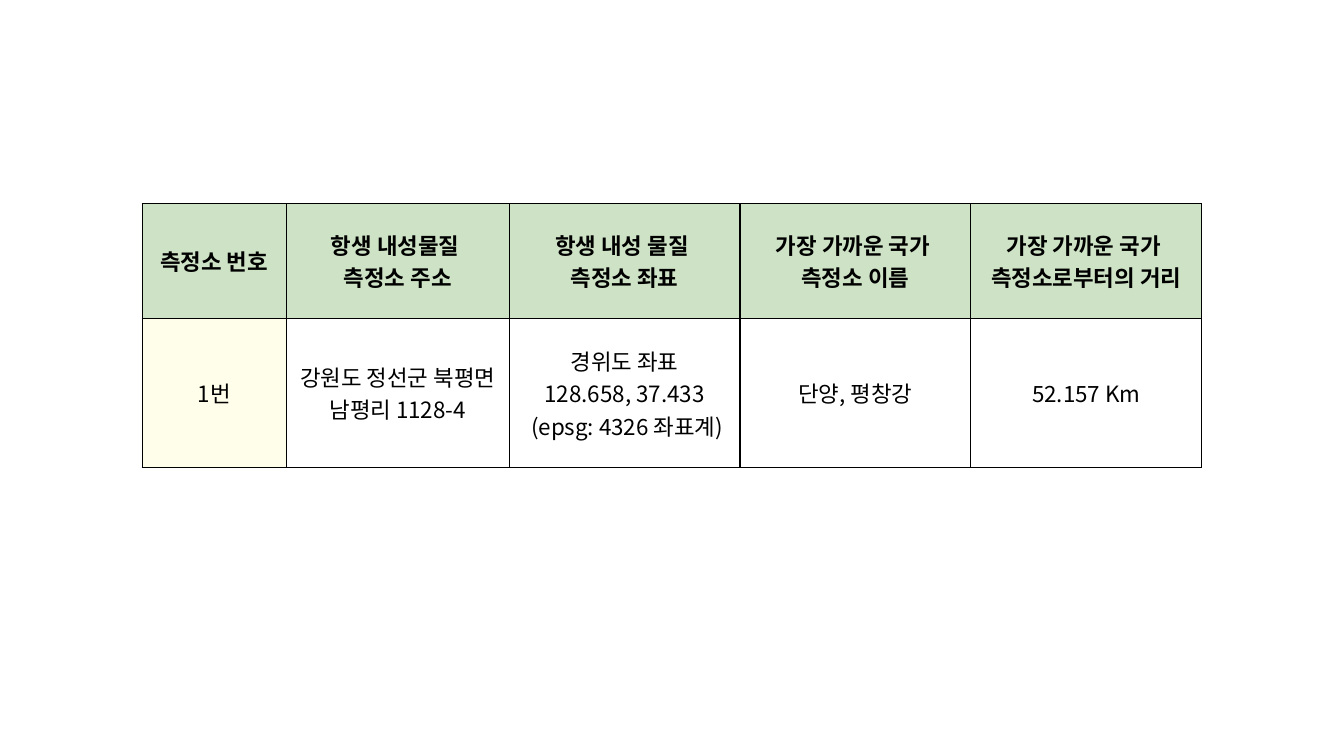
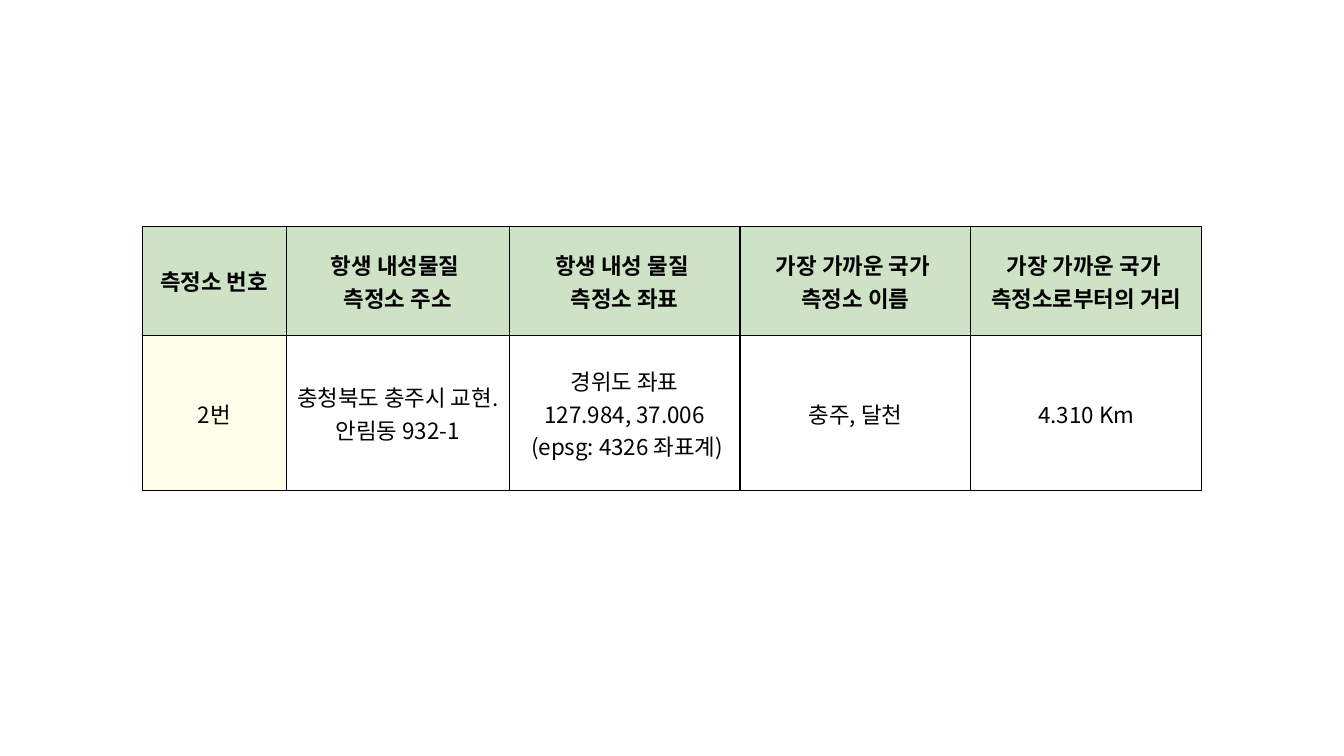
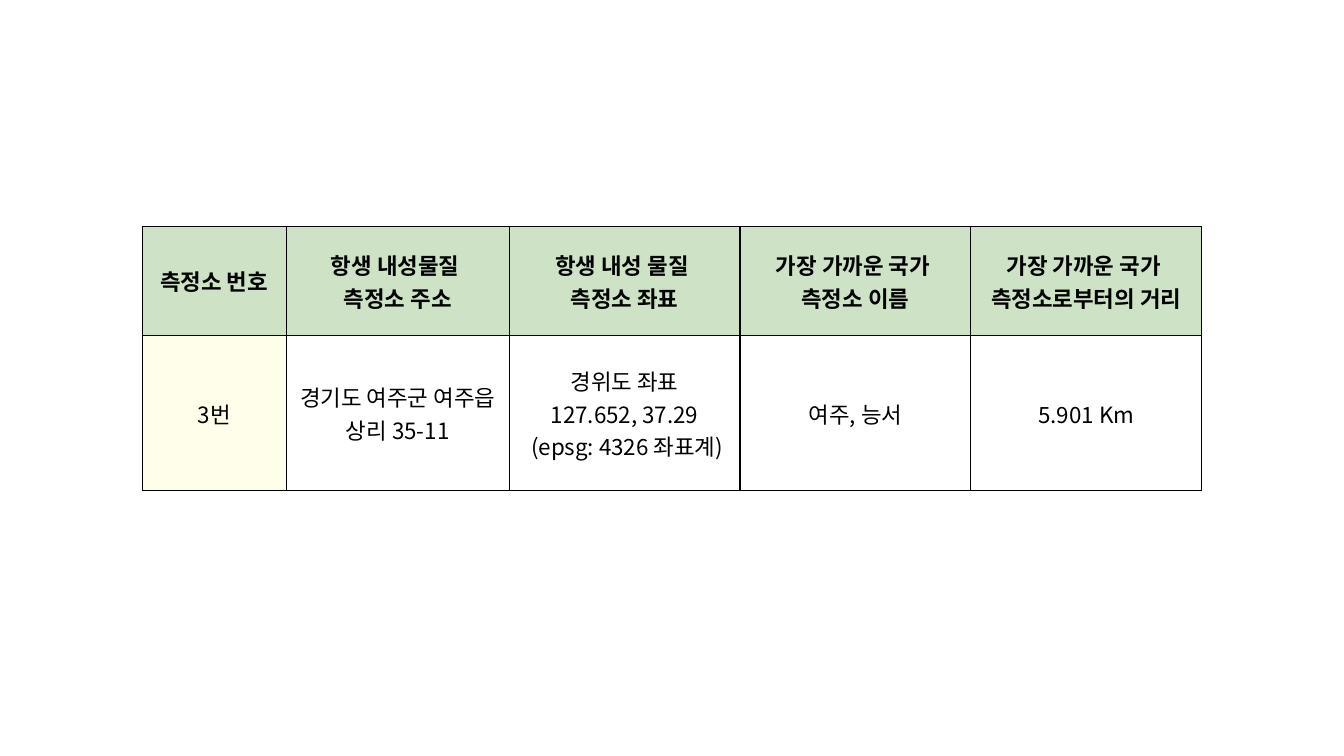
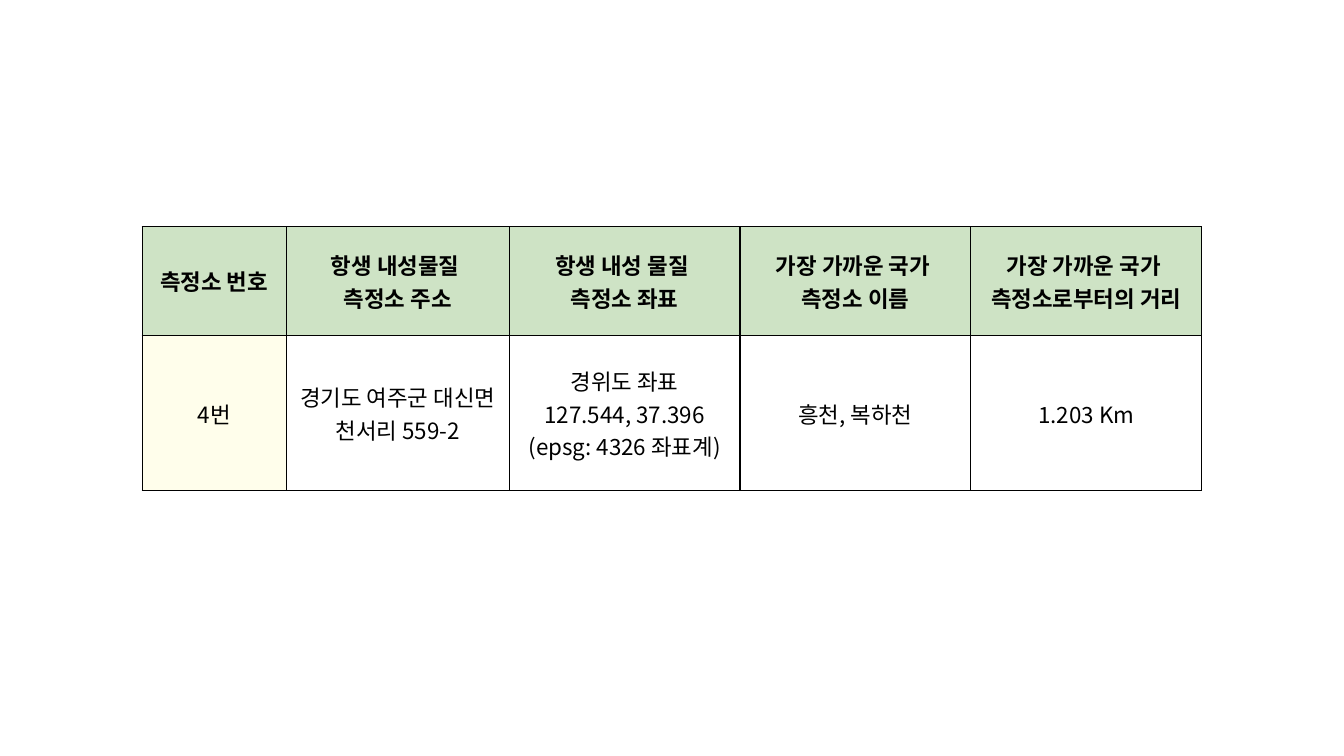
from copy import deepcopy

from lxml.etree import SubElement
from pptx import Presentation
from pptx.dml.color import RGBColor
from pptx.enum.text import MSO_ANCHOR, PP_ALIGN
from pptx.oxml import parse_xml
from pptx.oxml.ns import nsdecls, qn
from pptx.util import Inches, Pt

COLORS = {"header": "CEE3C5", "number": "FFFEEB", "ink": "000000"}
FONT = "Noto Sans CJK KR"
COLUMN_WIDTHS = [1.43, 2.21, 2.29, 2.29, 2.29]
HEADERS = [
    "측정소 번호",
    "항생 내성물질 \v측정소 주소",
    "항생 내성 물질 \v측정소 좌표",
    "가장 가까운 국가 \v측정소 이름",
    "가장 가까운 국가 \v측정소로부터의 거리",
]
EPSG = "(epsg: 4326 좌표계)"

# Table top, row heights, then the five values of the station
STATIONS = [
    (2.02, [1.14, 1.48], ["1번", "강원도 정선군 북평면 남평리 1128-4",
                          f"경위도 좌표\n128.658, 37.433\n {EPSG}", "단양, 평창강", "52.157 Km"]),
    (2.25, [1.08, 1.54], ["2번", "충청북도 충주시 교현.안림동 932-1",
                          f"경위도 좌표\n127.984, 37.006\n {EPSG}", "충주, 달천", "4.310 Km"]),
    (2.25, [1.08, 1.54], ["3번", "경기도 여주군 여주읍 상리 35-11",
                          f"경위도 좌표\n127.652, 37.29\n {EPSG}", "여주, 능서", "5.901 Km"]),
    (2.25, [1.08, 1.54], ["4번", "경기도 여주군 대신면 천서리 559-2",
                          f"경위도 좌표\n127.544, 37.396\n{EPSG}", "흥천, 복하천", "1.203 Km"]),
]


def style_text(paragraph, bold):
    """Centre a paragraph and format its runs and line breaks."""
    paragraph.alignment = PP_ALIGN.CENTER
    for span in paragraph.runs:
        span.font.size = Pt(16)
        span.font.bold = bold
        span.font.color.rgb = RGBColor.from_string(COLORS["ink"])
        span.font.name = FONT
        SubElement(span.font._element, qn("a:ea"), typeface=FONT)
    for line_break in paragraph._p.findall(qn("a:br")):
        line_break.append(deepcopy(paragraph.runs[0].font._element))


def fill_cell(cell, text, fill, bold):
    """Write one table cell with its borders, fill and text."""
    properties = cell._tc.get_or_add_tcPr()
    for side in ("lnL", "lnR", "lnT", "lnB"):
        properties.append(parse_xml(
            f'<a:{side} {nsdecls("a")} w="{Pt(1)}"><a:solidFill>'
            f'<a:srgbClr val="{COLORS["ink"]}"/></a:solidFill></a:{side}>'))
    if fill:
        cell.fill.solid()
        cell.fill.fore_color.rgb = RGBColor.from_string(COLORS[fill])
    else:
        cell.fill.background()
    cell.vertical_anchor = MSO_ANCHOR.MIDDLE
    cell.text_frame.text = text
    for paragraph in cell.text_frame.paragraphs:
        style_text(paragraph, bold)


deck = Presentation()
deck.slide_width, deck.slide_height = Inches(13.33), Inches(7.5)
blank_layout = deck.slide_layouts[6]

for top, row_heights, values in STATIONS:
    page = deck.slides.add_slide(blank_layout)
    table = page.shapes.add_table(
        2, len(HEADERS), Inches(1.41), Inches(top),
        Inches(sum(COLUMN_WIDTHS)), Inches(sum(row_heights))).table
    for row, height in zip(table.rows, row_heights):
        row.height = Inches(height)
    for index, width in enumerate(COLUMN_WIDTHS):
        table.columns[index].width = Inches(width)
        fill_cell(table.cell(0, index), HEADERS[index], "header", True)
        fill_cell(table.cell(1, index), values[index], None if index else "number", False)

deck.save("out.pptx")
